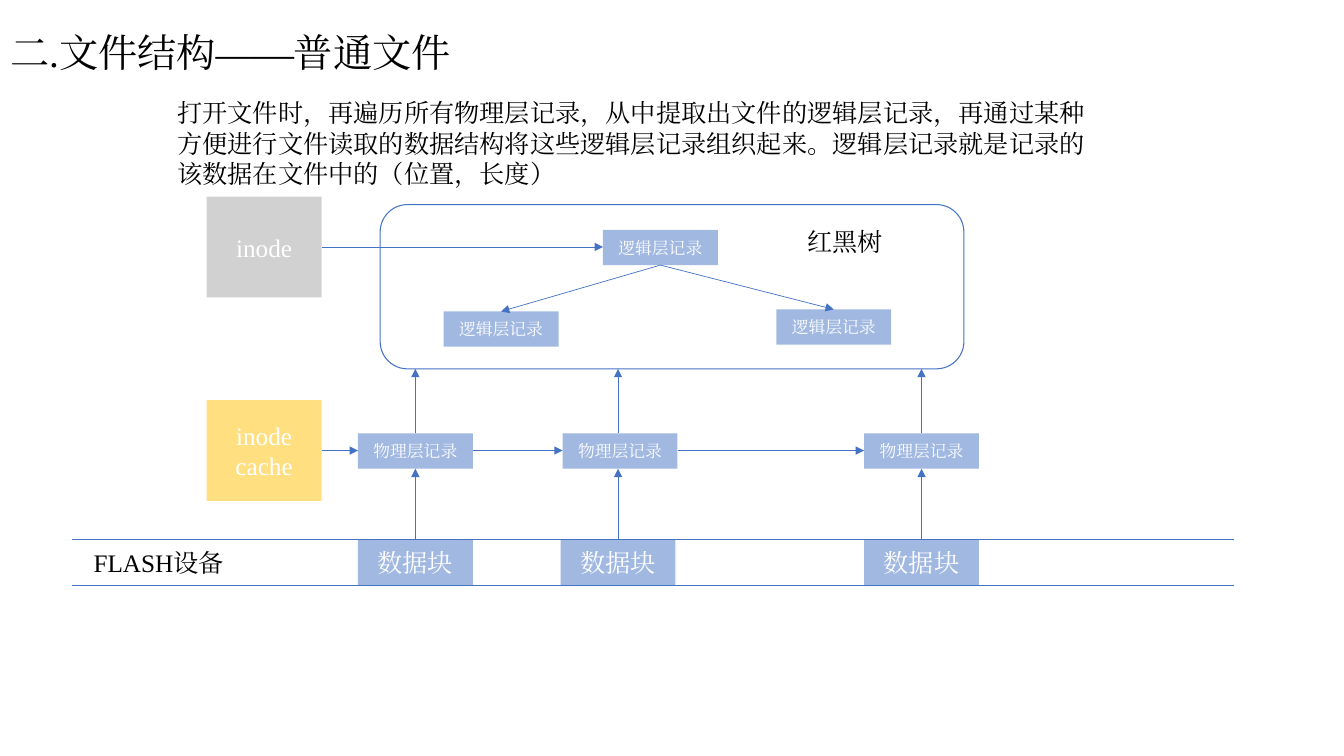
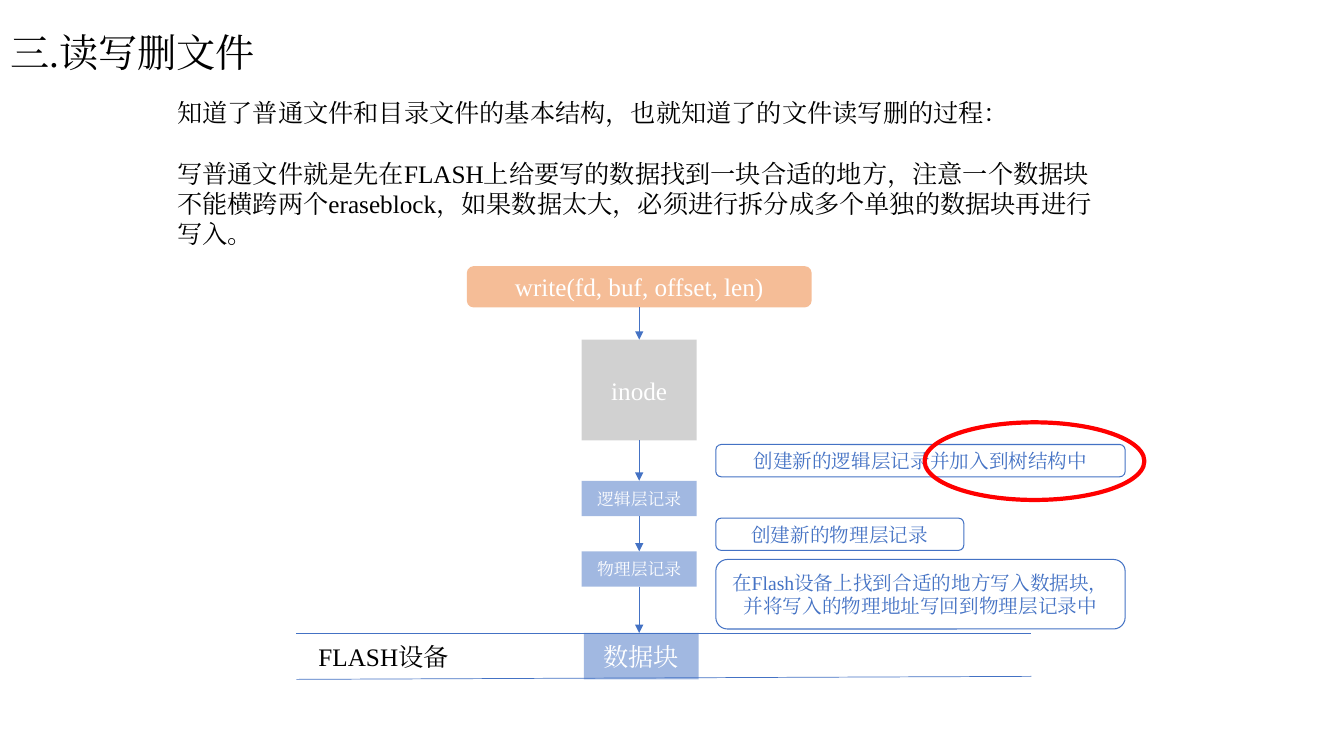
from dataclasses import dataclass
from typing import Optional

from lxml import etree
from pptx import Presentation
from pptx import util as u
from pptx.dml.color import RGBColor
from pptx.enum import lang, shapes, text
from pptx.oxml.ns import qn

PX = 9144  # EMU per px, 100 px to the inch
FONT = "Times New Roman"
BLACK, WHITE, RED = "000000", "FFFFFF", "FF0000"
BLUE, GREY, GOLD, ORANGE = "4472C4", "A5A5A5", "FFC000", "ED7D31"
RECT = shapes.MSO_SHAPE.RECTANGLE
ROUNDED = shapes.MSO_SHAPE.ROUNDED_RECTANGLE
OVAL = shapes.MSO_SHAPE.OVAL

NODE_W, NODE_H = 114, 100
RECORD_H, BLOCK_H = 35, 46
LOGICAL, PHYSICAL, DATA = "逻辑层记录", "物理层记录", "数据块"


@dataclass(frozen=True)
class Look:
    """Appearance of one sort of box."""
    form: int = RECT
    fill: Optional[str] = None
    line: Optional[str] = None
    weight: float = 0.75
    size: int = 18
    ink: str = WHITE


@dataclass(frozen=True)
class Box:
    look: Look
    left: int
    top: int
    width: int
    height: int
    label: str = ""


@dataclass(frozen=True)
class Arrow:
    x1: int
    y1: int
    x2: int
    y2: int


BLOCK = Look(fill=BLUE)
RECORD = Look(fill=BLUE, size=12)
INODE = Look(fill=GREY)
CACHE = Look(fill=GOLD)
CALL = Look(ROUNDED, fill=ORANGE)
NOTE = Look(ROUNDED, line=BLUE, size=14, ink=BLUE)
MARK = Look(OVAL, line=RED, weight=3)


def rgb(value: str) -> RGBColor:
    return RGBColor.from_string(value)


def px(*lengths: int) -> list[u.Emu]:
    return [u.Emu(length * PX) for length in lengths]


# Text
def add_run(paragraph, words: str, size: int, ink: str) -> None:
    run = paragraph.add_run()
    run.text = words
    font = run.font
    font.size, font.name = u.Pt(size), FONT
    font.color.rgb = rgb(ink)
    font.language_id = lang.MSO_LANGUAGE_ID.SIMPLIFIED_CHINESE
    etree.SubElement(run._r.get_or_add_rPr(), qn("a:ea"), typeface=FONT)


def add_text(slide, left: int, top: int, width: int, height: int,
             paragraphs: list[str], gap: float = 0) -> None:
    frame = slide.shapes.add_textbox(*px(left, top, width, height)).text_frame
    frame.word_wrap = True
    for index, words in enumerate(paragraphs):
        paragraph = frame.add_paragraph() if index else frame.paragraphs[0]
        if index:
            paragraph.space_before = u.Pt(gap)
        add_run(paragraph, words, 18, BLACK)


# Boxes and lines
def add_box(slide, box: Box) -> None:
    look = box.look
    shape = slide.shapes.add_shape(
        look.form, *px(box.left, box.top, box.width, box.height))
    shape.shadow.inherit = False
    if look.fill:
        shape.fill.solid()
        shape.fill.fore_color.rgb = rgb(look.fill)
        color = shape.fill._xPr.find(qn("a:solidFill"))[0]
        etree.SubElement(color, qn("a:alpha"), val="50000")
    else:
        shape.fill.background()
    if look.line:
        shape.line.color.rgb = rgb(look.line)
        shape.line.width = u.Pt(look.weight)
    else:
        shape.line.fill.background()
    if box.label:
        frame = shape.text_frame
        frame.word_wrap = True
        frame.vertical_anchor = text.MSO_ANCHOR.MIDDLE
        frame.paragraphs[0].alignment = text.PP_ALIGN.CENTER
        add_run(frame.paragraphs[0], box.label, look.size, look.ink)


def add_line(slide, x1: int, y1: int, x2: int, y2: int,
             arrow: bool = False) -> None:
    line = slide.shapes.add_connector(
        shapes.MSO_CONNECTOR.STRAIGHT, *px(x1, y1, x2, y2))
    line.line.color.rgb = rgb(BLUE)
    line.line.width = u.Pt(0.5)
    if arrow:
        etree.SubElement(line.line._get_or_add_ln(), qn("a:tailEnd"),
                         type="triangle")
    etree.SubElement(line._element.spPr, qn("a:effectLst"))


def draw(slide, boxes: list[Box], arrows: list[Arrow]) -> None:
    for box in boxes:
        add_box(slide, box)
    for arrow in arrows:
        add_line(slide, arrow.x1, arrow.y1, arrow.x2, arrow.y2, arrow=True)


# Parts shared by the slides
def add_titled_slide(deck, heading: str):
    slide = deck.slides.add_slide(deck.slide_layouts[5])
    title = slide.shapes.title
    title.left, title.top, title.width, title.height = px(0, 0, 469, 109)
    frame = title.text_frame
    frame.word_wrap = True
    frame.auto_size = text.MSO_AUTO_SIZE.NONE
    frame.vertical_anchor = text.MSO_ANCHOR.MIDDLE
    paragraph = frame.paragraphs[0]
    paragraph.alignment = text.PP_ALIGN.LEFT
    paragraph.line_spacing = 0.9
    add_run(paragraph, heading, 28, BLACK)
    return slide


def add_flash_band(slide, left: int, right: int, top: int,
                   rise: int = 0) -> None:
    bottom = top + BLOCK_H
    add_line(slide, left, top, right, top)
    add_line(slide, left, bottom, right, bottom - rise)
    add_text(slide, left + 12, top + 3, 185, 40, ["FLASH设备"])


def record(left: int, top: int, label: str) -> Box:
    return Box(RECORD, left, top, NODE_W, RECORD_H, label)


def block(left: int, top: int) -> Box:
    return Box(BLOCK, left, top, NODE_W, BLOCK_H, DATA)


def inode(left: int, top: int) -> Box:
    return Box(INODE, left, top, NODE_W, NODE_H, "inode")


# Slide: regular files
def build_file_structure(deck) -> None:
    slide = add_titled_slide(deck, "二.文件结构——普通文件")
    add_text(slide, 166, 92, 936, 101, [
        "打开文件时，再遍历所有物理层记录，从中提取出文件的逻辑层记录，"
        "再通过某种方便进行文件读取的数据结构将这些逻辑层记录组织起来。"
        "逻辑层记录就是记录的该数据在文件中的（位置，长度）"])

    half = NODE_W // 2
    node_left, flash_top, physical_top, tree_bottom = 205, 535, 430, 366
    block_lefts, physical_lefts = (355, 556, 857), (355, 558, 857)
    root, *leaves = [record(left, top, LOGICAL)
                     for left, top in ((598, 228), (440, 309), (770, 307))]
    boxes = [block(left, flash_top) for left in block_lefts]
    boxes += [record(left, physical_top, PHYSICAL) for left in physical_lefts]
    boxes += [Box(CACHE, node_left, 397, NODE_W, NODE_H, "inode cache"),
              inode(node_left, 195), root, *leaves,
              Box(NOTE, 377, 203, 579, 163)]

    # Chain of physical records, then the links upwards and inside the tree
    chain_y, node_right = 447, node_left + NODE_W
    starts = [node_right] + [left + NODE_W for left in physical_lefts]
    arrows = [Arrow(start, chain_y, end, chain_y)
              for start, end in zip(starts, physical_lefts)]
    for left in block_lefts:
        x = left + half
        arrows += [Arrow(x, flash_top, x, physical_top + RECORD_H),
                   Arrow(x, physical_top, x, tree_bottom)]
    arrows += [Arrow(root.left + half, root.top + RECORD_H,
                     leaf.left + half, leaf.top) for leaf in leaves]
    arrows.append(Arrow(node_right, 245, root.left, 245))

    draw(slide, boxes, arrows)
    add_flash_band(slide, 71, 1224, flash_top)
    add_text(slide, 791, 220, 129, 40, ["红黑树"])


# Slide: reading, writing and deleting files
def build_file_operations(deck) -> None:
    slide = add_titled_slide(deck, "三.读写删文件")
    add_text(slide, 166, 92, 936, 162, [
        "知道了普通文件和目录文件的基本结构，也就知道了的文件读写删的过程：",
        "写普通文件就是先在FLASH上给要写的数据找到一块合适的地方，"
        "注意一个数据块不能横跨两个eraseblock，如果数据太大，"
        "必须进行拆分成多个单独的数据块再进行写入。"], gap=21.5)

    flow_left, note_left, flash_top = 577, 710, 628
    flow_x = flow_left + NODE_W // 2
    steps = [Box(CALL, 463, 264, 342, 41, "write(fd, buf, offset, len)"),
             inode(flow_left, 337),
             record(flow_left, 477, LOGICAL),
             record(flow_left, 547, PHYSICAL),
             block(flow_left + 2, flash_top)]
    notes = [Box(NOTE, note_left, top, width, height, label)
             for top, width, height, label in (
                 (441, 406, 32, "创建新的逻辑层记录并加入到树结构中"),
                 (514, 246, 32, "创建新的物理层记录"),
                 (555, 406, 69, "在Flash设备上找到合适的地方写入数据块，"
                                "并将写入的物理地址写回到物理层记录中"))]
    tree_mark = Box(MARK, 917, 419, 218, 77)
    arrows = [Arrow(flow_x, step.top + step.height, flow_x, following.top)
              for step, following in zip(steps, steps[1:])]
    draw(slide, steps + notes + [tree_mark], arrows)
    add_flash_band(slide, 294, 1023, flash_top, rise=3)


def main() -> None:
    deck = Presentation()
    deck.slide_width, deck.slide_height = px(1333, 750)
    build_file_structure(deck)
    build_file_operations(deck)
    deck.save("out.pptx")


if __name__ == "__main__":
    main()
